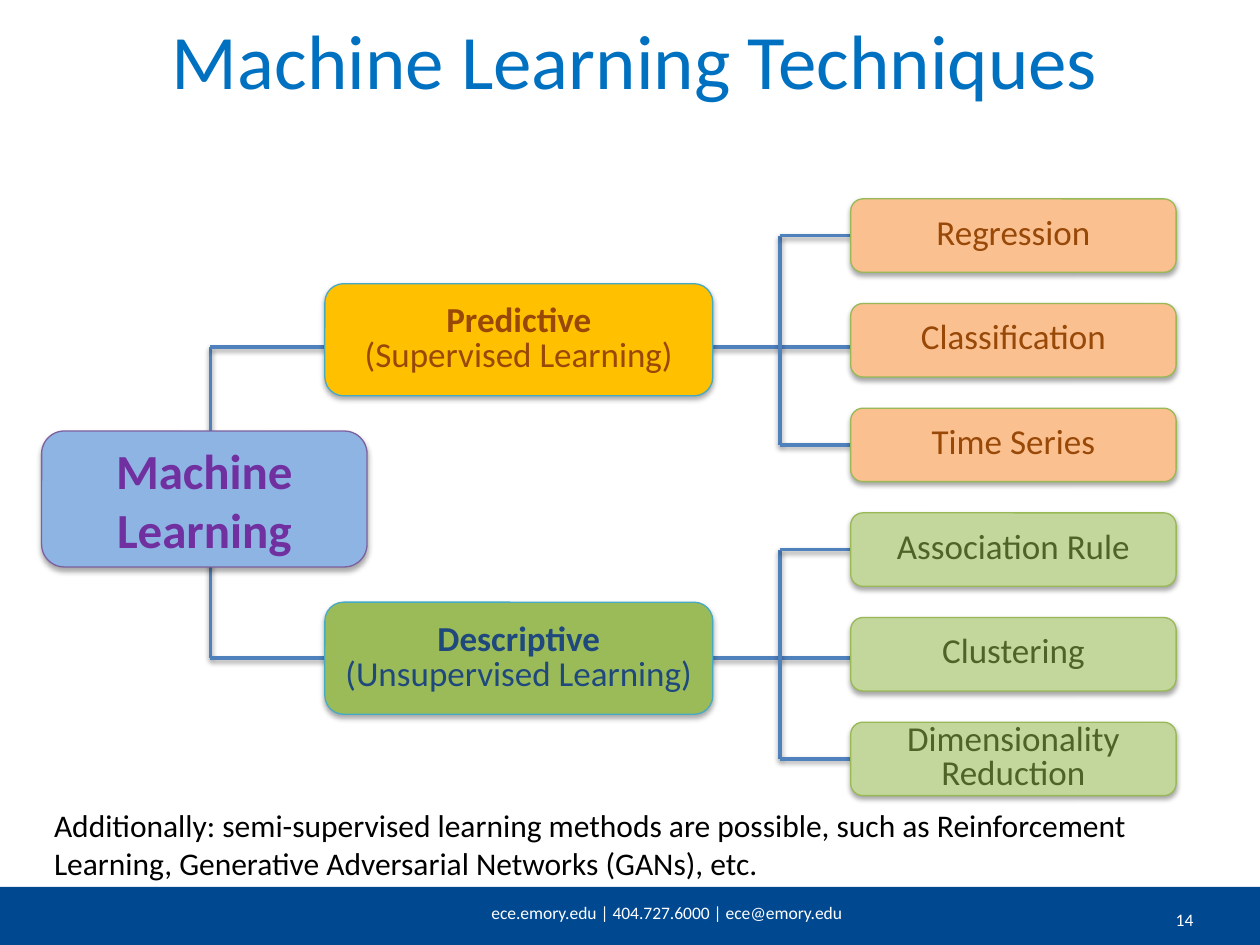
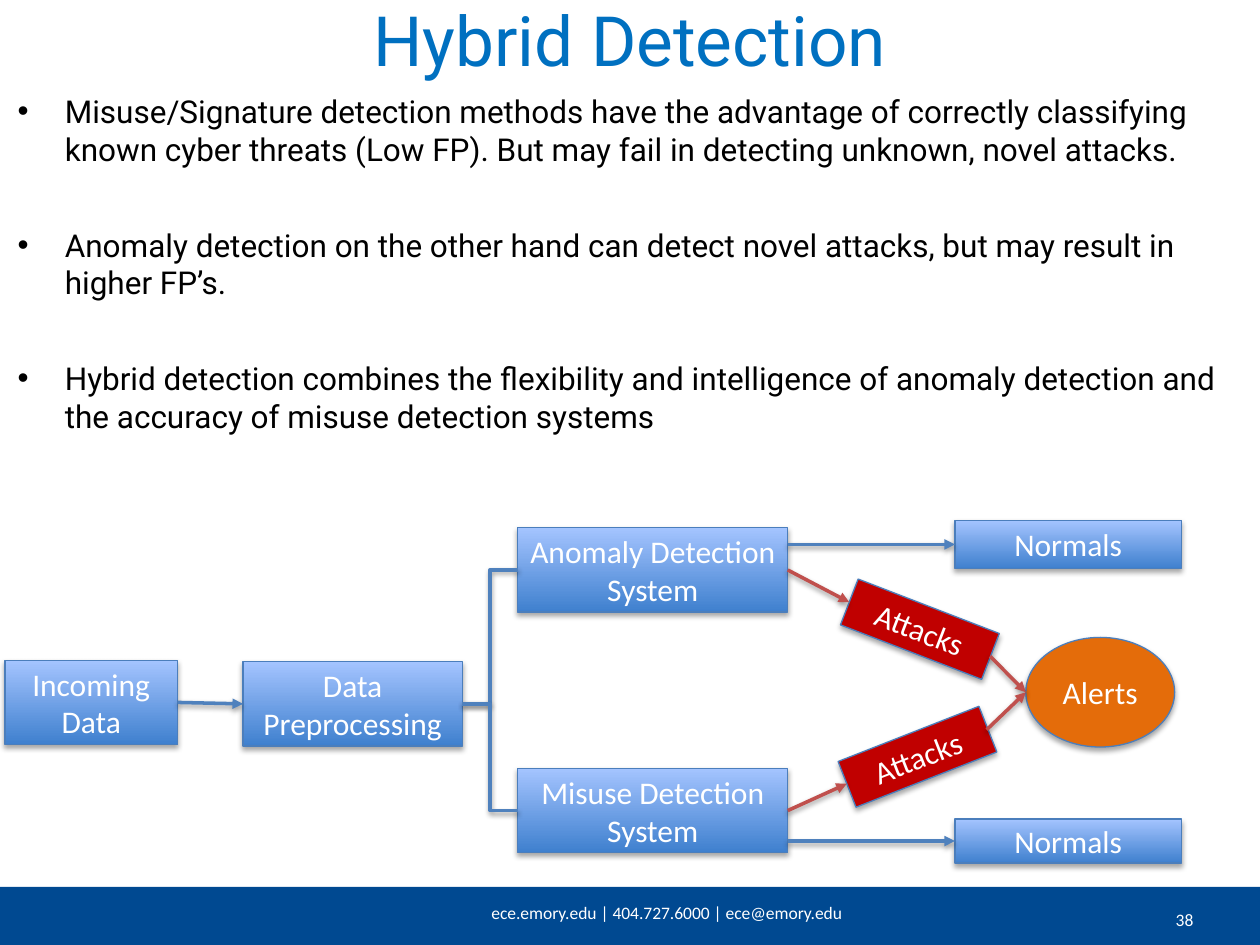
from dataclasses import dataclass

import pptx
import pptx.dml.color
import pptx.enum.dml
import pptx.enum.shapes
import pptx.enum.text
import pptx.oxml
import pptx.oxml.ns
import pptx.util
from lxml import etree

Cm = pptx.util.Cm
Pt = pptx.util.Pt
SHAPE = pptx.enum.shapes.MSO_SHAPE
CONNECTOR = pptx.enum.shapes.MSO_CONNECTOR
ALIGN = pptx.enum.text.PP_ALIGN
ANCHOR = pptx.enum.text.MSO_ANCHOR
qn = pptx.oxml.ns.qn

COLORS = {
    "band": "004991", "title": "0070C0", "white": "FFFFFF", "black": "000000",
    "link": "4F81BD", "threat_link": "C0504D",
    "root": "8EB4E3", "root_edge": "7D60A0", "root_text": "7030A0",
    "predictive": "FFC000", "descriptive": "9BBB59", "branch_edge": "46AAC5",
    "orange_leaf": "FAC090", "green_leaf": "C3D69B", "leaf_edge": "98B955",
    "brown": "984807", "navy": "1F497D", "olive": "4F6228",
    "step_dark": "3F80CE", "step_light": "A4C4FF", "step_edge": "4B7EBC",
    "attack": "C00000", "alert": "E46C0A",
}
CONTACT = "ece.emory.edu | 404.727.6000 | ece@emory.edu"
LABEL_MARGIN = Cm(0.1)


@dataclass
class Region:
    left: float
    top: float
    width: float
    height: float

    def inside(self, left, top, width, height):
        return Region(self.left + left, self.top + top, width, height)

    @property
    def right(self):
        return self.left + self.width

    @property
    def middle(self):
        return self.top + self.height / 2

    def lengths(self):
        return [Cm(v) for v in (self.left, self.top, self.width, self.height)]


PAGE = Region(0, 0, 25.4, 19.05)
BAND = Region(0, 17.88, 25.4, 1.17)


def rgb(color):
    return pptx.dml.color.RGBColor.from_string(COLORS[color])


def add_run(paragraph, text, size, color, font="Calibri", bold=False):
    run = paragraph.add_run()
    run.text = text
    run.font.name = font
    run.font.size = Pt(size)
    run.font.bold = bold
    run.font.color.rgb = rgb(color)


def add_shadow(properties, blur, distance, opacity):
    effects = properties.find(qn("a:effectLst"))
    if effects is None:
        effects = etree.SubElement(properties, qn("a:effectLst"))
    shadow = etree.SubElement(
        effects, qn("a:outerShdw"), blurRad=str(Pt(blur)), dist=str(Pt(distance)),
        dir="5400000", rotWithShape="0")
    tint = etree.SubElement(shadow, qn("a:srgbClr"), val=COLORS["black"])
    etree.SubElement(tint, qn("a:alpha"), val=str(opacity * 1000))


def add_box(slide, preset, region, fill, edge):
    box = slide.shapes.add_shape(preset, *region.lengths())
    box.shadow.inherit = False
    if fill == "step":
        box.fill.gradient()
        box.fill.gradient_angle = 90
        for stop, color in zip(box.fill.gradient_stops, ("step_dark", "step_light")):
            stop.color.rgb = rgb(color)
    else:
        box.fill.solid()
        box.fill.fore_color.rgb = rgb(fill)
    if edge:
        box.line.color.rgb = rgb(edge)
        box.line.width = Pt(0.75)
        add_shadow(box._element.spPr, 3.1, 1.8, 35)
    else:
        box.line.fill.background()
    return box


def add_label(box, lines, size, color, spacing=None, bold_first=False):
    frame = box.text_frame
    frame.word_wrap = True
    frame.vertical_anchor = ANCHOR.MIDDLE
    frame.margin_left = frame.margin_right = LABEL_MARGIN
    frame.margin_top = frame.margin_bottom = 0
    paragraph = frame.paragraphs[0]
    paragraph.alignment = ALIGN.CENTER
    if spacing:
        paragraph.line_spacing = Pt(spacing)
    for index, line in enumerate(lines):
        if index:
            paragraph.add_line_break()
        add_run(paragraph, line, size, color, bold=bold_first and index == 0)


def add_link(slide, start, end, color="link", arrow=False, kind=CONNECTOR.STRAIGHT):
    link = slide.shapes.add_connector(kind, *[Cm(v) for v in (*start, *end)])
    link.line.color.rgb = rgb(color)
    link.line.width = Pt(2)
    if arrow:
        etree.SubElement(link.line._get_or_add_ln(), qn("a:tailEnd"), type="triangle")
    add_shadow(link._element.spPr, 3.1, 1.6, 38)


def add_text(slide, region, text, size, color, alignment):
    frame = slide.shapes.add_textbox(*region.lengths()).text_frame
    frame.word_wrap = True
    paragraph = frame.paragraphs[0]
    paragraph.alignment = alignment
    add_run(paragraph, text, size, color)


def move_placeholder(placeholder, region):
    placeholder.left, placeholder.top, placeholder.width, placeholder.height = region.lengths()
    placeholder.text_frame.auto_size = pptx.enum.text.MSO_AUTO_SIZE.NONE
    return placeholder.text_frame


def add_title(slide, region, text, size, font):
    frame = move_placeholder(slide.shapes.title, region)
    frame.vertical_anchor = ANCHOR.MIDDLE
    frame.paragraphs[0].alignment = ALIGN.CENTER
    add_run(frame.paragraphs[0], text, size, "title", font)


def add_footer(slide, region, number):
    add_box(slide, SHAPE.RECTANGLE, region, "band", None)
    add_text(slide, region.inside(8.46, 0.18, 9.96, 0.71), CONTACT, 10, "white", ALIGN.CENTER)
    add_text(slide, region.inside(22.61, 0.31, 2.54, 0.86), str(number), 10, "white", ALIGN.CENTER)


def add_bullets(slide, region, points):
    frame = move_placeholder(slide.placeholders[1], region)
    for index, point in enumerate(points):
        paragraph = frame.add_paragraph() if index else frame.paragraphs[0]
        paragraph.space_before = Pt(27 if index else 0)
        paragraph.space_after = Pt(6)
        add_run(paragraph, point, 18, "black", "Roboto")


def add_technique_tree(slide, region):
    leaf_pitch, group_size = 2.11, 3
    trunk, spine = region.left + 3.4, region.left + 14.88
    root = region.inside(0, 4.68, 6.56, 2.74)
    groups = [
        (1.71, 2.98, "predictive", "brown", ["Predictive", "(Supervised Learning)"],
         "orange_leaf", "brown", ["Regression", "Classification", "Time Series"]),
        (8.13, 9.25, "descriptive", "navy", ["Descriptive", "(Unsupervised Learning)"],
         "green_leaf", "olive", ["Association Rule", "Clustering", "Dimensionality Reduction"]),
    ]
    joints = [region.top + group[1] for group in groups]
    add_link(slide, (trunk, joints[0]), (trunk, joints[1]))
    for order, (top, _, fill, color, name, leaf_fill, leaf_color, leaves) in enumerate(groups):
        joint = joints[order]
        branch = region.inside(5.71, top, 7.82, 2.26)
        leaf_regions = [
            region.inside(16.31, (order * group_size + row) * leaf_pitch, 6.56, 1.48)
            for row in range(group_size)]
        first, _, last = [leaf.middle for leaf in leaf_regions]
        leaf_left = leaf_regions[0].left
        add_link(slide, (trunk, joint), (leaf_left, joint))
        add_link(slide, (spine, first), (spine, last))
        for level in (first, last):
            add_link(slide, (spine, level), (leaf_left, level))
        box = add_box(slide, SHAPE.ROUNDED_RECTANGLE, branch, fill, "branch_edge")
        add_label(box, name, 20, color, spacing=20, bold_first=True)
        for leaf_region, leaf in zip(leaf_regions, leaves):
            box = add_box(slide, SHAPE.ROUNDED_RECTANGLE, leaf_region, leaf_fill, "leaf_edge")
            add_label(box, [leaf], 20, leaf_color, spacing=19)
    box = add_box(slide, SHAPE.ROUNDED_RECTANGLE, root, "root", "root_edge")
    add_label(box, ["Machine Learning"], 28, "root_text", bold_first=True)


def add_detection_flow(slide, region):
    incoming = region.inside(0, 2.82, 3.48, 1.7)
    preprocessing = region.inside(4.8, 2.85, 4.42, 1.7)
    anomaly = region.inside(10.34, 0.15, 5.44, 1.7)
    misuse = region.inside(10.34, 5, 5.44, 1.7)
    anomaly_normals = region.inside(19.15, 0, 4.57, 0.97)
    misuse_normals = region.inside(19.15, 6.02, 4.57, 0.89)
    anomaly_attacks = region.inside(16.92, 1.7, 3.05, 0.99)
    misuse_attacks = region.inside(16.87, 4.27, 3.05, 0.99)
    alerts = region.inside(20.58, 2.36, 3, 2.21)

    steps = [
        (incoming, "Incoming Data"), (preprocessing, "Data Preprocessing"),
        (anomaly, "Anomaly Detection System"), (misuse, "Misuse Detection System"),
        (anomaly_normals, "Normals"), (misuse_normals, "Normals"),
    ]
    for step, name in steps:
        box = add_box(slide, SHAPE.FLOWCHART_PROCESS, step, "step", "step_edge")
        add_label(box, [name], 18, "white")
    for attacks, tilt in ((anomaly_attacks, 21.1), (misuse_attacks, 338.6)):
        box = add_box(slide, SHAPE.FLOWCHART_PROCESS, attacks, "attack", "step_edge")
        box.rotation = tilt
        add_label(box, ["Attacks"], 18, "white")
    box = add_box(slide, SHAPE.FLOWCHART_CONNECTOR, alerts, "alert", "step_edge")
    add_label(box, ["Alerts"], 18, "white")

    add_link(slide, (incoming.right, incoming.middle),
             (preprocessing.left, preprocessing.middle), arrow=True)
    tracks = [
        (anomaly, anomaly_normals, (17.02, 1.65), (19.86, 2.74)),
        (misuse, misuse_normals, (16.97, 5.31), (19.79, 4.22)),
    ]
    for system, normals, attack_in, attack_out in tracks:
        add_link(slide, (preprocessing.right, preprocessing.middle),
                 (system.left, system.middle), kind=CONNECTOR.ELBOW)
        add_link(slide, (system.right, normals.middle), (normals.left, normals.middle), arrow=True)
        entry, leave = [(region.left + x, region.top + y) for x, y in (attack_in, attack_out)]
        add_link(slide, (system.right, system.middle), entry, "threat_link", arrow=True)
        add_link(slide, leave, (alerts.left, alerts.middle), "threat_link", arrow=True)


def build_techniques(deck):
    slide = deck.slides.add_slide(deck.slide_layouts[5])
    add_footer(slide, BAND, 14)
    add_title(slide, PAGE.inside(0.46, 0.41, 24.69, 1.55), "Machine Learning Techniques", 44, "Calibri")
    add_technique_tree(slide, PAGE.inside(0.84, 4.01, 22.87, 12.04))
    add_text(slide, PAGE.inside(0.84, 16.13, 22.86, 1.8),
             "Additionally: semi-supervised learning methods are possible, such as Reinforcement "
             "Learning, Generative Adversarial Networks (GANs), etc.", 18, "black", ALIGN.LEFT)


def build_hybrid(deck):
    slide = deck.slides.add_slide(deck.slide_layouts[1])
    add_footer(slide, BAND, 38)
    add_title(slide, PAGE.inside(1.27, -0.1, 22.86, 1.75), "Hybrid Detection", 39.6, "Roboto")
    add_bullets(slide, PAGE.inside(0.1, 1.73, 24.74, 6.91), [
        "Misuse/Signature detection methods have the advantage of correctly classifying known "
        "cyber threats (Low FP). But may fail in detecting unknown, novel attacks.",
        "Anomaly detection on the other hand can detect novel attacks, but may result in higher FP’s.",
        "Hybrid detection combines the flexibility and intelligence of anomaly detection and "
        "the accuracy of misuse detection systems",
    ])
    add_detection_flow(slide, PAGE.inside(0.1, 10.49, 23.73, 6.91))


def main():
    deck = pptx.Presentation()
    deck.slide_width, deck.slide_height = Cm(PAGE.width), Cm(PAGE.height)
    build_techniques(deck)
    build_hybrid(deck)
    deck.save("out.pptx")


if __name__ == "__main__":
    main()
